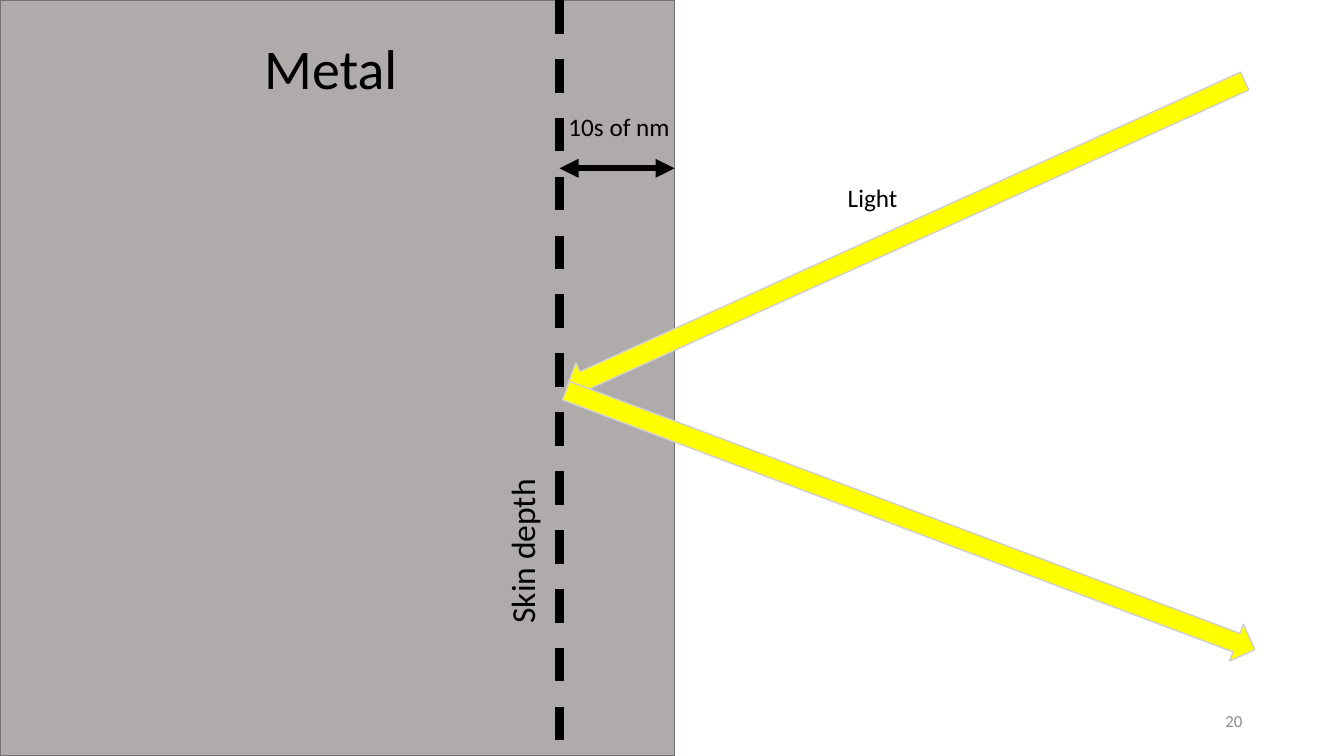
from dataclasses import dataclass

from lxml import etree
from pptx import Presentation
from pptx.dml.color import RGBColor
from pptx.enum.dml import MSO_LINE
from pptx.enum.shapes import MSO_CONNECTOR, MSO_SHAPE
from pptx.enum.text import MSO_ANCHOR, PP_ALIGN
from pptx.oxml.ns import qn
from pptx.util import Inches, Pt

LEFT, CENTER, RIGHT = PP_ALIGN.LEFT, PP_ALIGN.CENTER, PP_ALIGN.RIGHT
TOP, MIDDLE = MSO_ANCHOR.TOP, MSO_ANCHOR.MIDDLE
DASH = MSO_LINE.DASH
STRAIGHT = MSO_CONNECTOR.STRAIGHT
RECTANGLE, DOWN_ARROW = MSO_SHAPE.RECTANGLE, MSO_SHAPE.DOWN_ARROW


@dataclass(frozen=True)
class Theme:
    font: str = "Calibri"
    ink: str = "000000"
    muted: str = "8C8C8C"
    metal: str = "AFABAB"
    metal_edge: str = "767171"
    light: str = "FFFF00"
    light_edge: str = "D0CECE"
    title: int = 40
    heading: int = 24
    body: int = 18
    footer: int = 12
    thin: float = 1
    measure: float = 4.5
    boundary: float = 6


THEME = Theme()
WIDTH, HEIGHT = 13.33, 7.5
SURFACE_X, SKIN_X, MEASURE_Y = 6.69, 5.55, 1.67
BEAM_WIDTH = 0.39

# centre x, centre y, length, rotation
BEAMS = [
    (8.98, 2.33, 7.39, 65.6),
    (9.03, 5.16, 7.3, 290.6),
]
# text, (left, top, width, height), size, colour, alignment, anchor, rotation
LABELS = [
    ("Metal", (1.39, 0.28, 3.78, 0.77), THEME.title, THEME.ink, CENTER, TOP, 0),
    ("Skin depth", (4.03, 5.22, 2.29, 0.5), THEME.heading, THEME.ink, CENTER, TOP, 270),
    ("10s of nm", (5.18, 1.06, 1.92, 0.4), THEME.body, THEME.ink, CENTER, TOP, 0),
    ("Light", (8.31, 1.76, 0.8, 0.4), THEME.body, THEME.ink, LEFT, TOP, 0),
    ("20", (9.42, 6.95, 3, 0.4), THEME.footer, THEME.muted, RIGHT, MIDDLE, 0),
]


def rgb(colour):
    return RGBColor.from_string(colour)


def add_solid(slide, preset, box, fill, edge, rotation=0):
    solid = slide.shapes.add_shape(preset, *map(Inches, box))
    solid.shadow.inherit = False
    solid.rotation = rotation
    solid.fill.solid()
    solid.fill.fore_color.rgb = rgb(fill)
    solid.line.color.rgb = rgb(edge)
    solid.line.width = Pt(THEME.thin)


def add_rule(slide, start, end, width, dash=None, arrows=False):
    rule = slide.shapes.add_connector(STRAIGHT, *map(Inches, start + end))
    rule.line.color.rgb = rgb(THEME.ink)
    rule.line.width = Pt(width)
    if dash is not None:
        rule.line.dash_style = dash
    if arrows:
        outline = rule.line._get_or_add_ln()
        for tip in ("a:headEnd", "a:tailEnd"):
            etree.SubElement(outline, qn(tip), type="triangle")
    etree.SubElement(rule._element.spPr, qn("a:effectLst"))


def add_label(slide, text, box, size, colour, alignment, anchor, rotation):
    label = slide.shapes.add_textbox(*map(Inches, box))
    label.rotation = rotation
    frame = label.text_frame
    frame.word_wrap = True
    frame.vertical_anchor = anchor
    paragraph = frame.paragraphs[0]
    paragraph.alignment = alignment
    run = paragraph.add_run()
    run.text = text
    run.font.color.rgb = rgb(colour)
    for attribute, value in {"name": THEME.font, "size": Pt(size)}.items():
        setattr(run.font, attribute, value)


def main():
    deck = Presentation()
    deck.slide_width, deck.slide_height = Inches(WIDTH), Inches(HEIGHT)
    slide = deck.slides.add_slide(deck.slide_layouts[6])

    add_solid(slide, RECTANGLE, (0, 0, SURFACE_X, HEIGHT), THEME.metal, THEME.metal_edge)
    for x, y, length, rotation in BEAMS:
        box = (x - BEAM_WIDTH / 2, y - length / 2, BEAM_WIDTH, length)
        add_solid(slide, DOWN_ARROW, box, THEME.light, THEME.light_edge, rotation)
    add_rule(slide, (SKIN_X, 0), (SKIN_X, HEIGHT), THEME.boundary, dash=DASH)
    add_rule(slide, (SURFACE_X, MEASURE_Y), (SKIN_X, MEASURE_Y), THEME.measure, arrows=True)
    for label in LABELS:
        add_label(slide, *label)
    deck.save("out.pptx")


if __name__ == "__main__":
    main()
